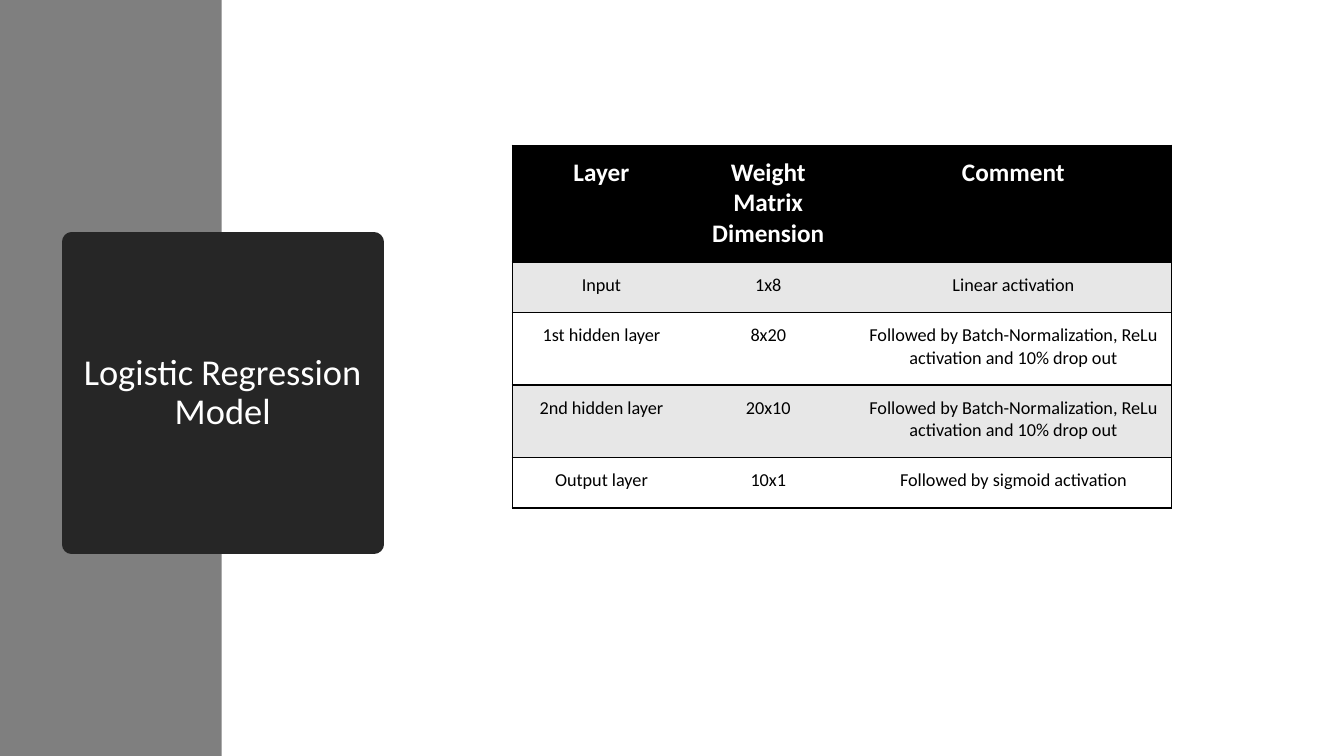
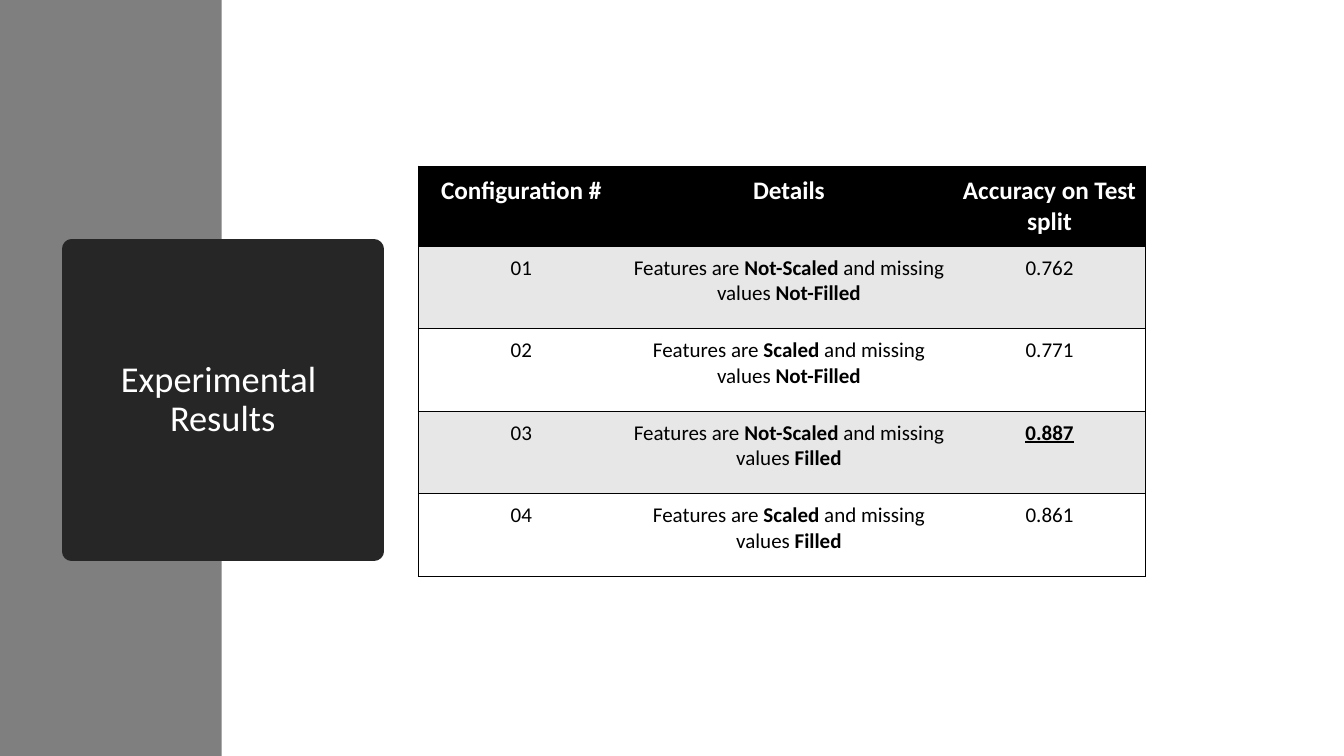
import pptx
import pptx.dml.color
import pptx.enum.shapes
import pptx.enum.text
import pptx.oxml
import pptx.oxml.ns
import pptx.util
from dataclasses import dataclass

Inches = pptx.util.Inches
Pt = pptx.util.Pt
RGB = pptx.dml.color.RGBColor.from_string
RECTANGLE = pptx.enum.shapes.MSO_SHAPE.RECTANGLE
CENTER = pptx.enum.text.PP_ALIGN.CENTER


@dataclass(frozen=True)
class Theme:
    font: str = "Calibri"
    band: str = "7F7F7F"
    title_box: str = "262626"
    dark: str = "000000"
    light: str = "FFFFFF"
    stripe: str = "E7E7E7"
    title_size: int = 26
    header_size: int = 18
    title_border: float = 13.75
    cell_border: int = 1


theme = Theme()


def style_paragraph(paragraph, size, color, bold=False):
    """Centre a paragraph and format its runs; text between ** marks is bold."""
    pieces = paragraph.text.split("**")
    if len(pieces) > 1:
        paragraph.clear()
        for piece in filter(None, pieces):
            paragraph.add_run().text = piece
    paragraph.alignment = CENTER
    for run in paragraph.runs:
        run.font.name = theme.font
        run.font.size = Pt(size)
        run.font.color.rgb = RGB(color)
        marked = len(pieces) > 1 and run.text in pieces[1::2]
        run.font.bold = bold or marked


def set_borders(cell, visible_sides):
    """Draw the given sides of a cell and hide the rest; call before filling."""
    properties = cell._tc.get_or_add_tcPr()
    for side in "LRTB":
        if side in visible_sides:
            paint = f'<a:solidFill><a:srgbClr val="{theme.dark}"/></a:solidFill>'
        else:
            paint = "<a:noFill/>"
        properties.append(pptx.oxml.parse_xml(
            f'<a:ln{side} {pptx.oxml.ns.nsdecls("a")} '
            f'w="{Pt(theme.cell_border)}">{paint}</a:ln{side}>'))


hidden_layer_comment = ("Followed by Batch-Normalization, ReLu "
                        "activation and 10% drop out")
topics = [
    dict(
        title="Logistic Regression Model", title_top=2.4,
        left=5.08, top=1.44,
        columns=[1.68, 1.63, 3.23], row_heights=[1.16, 0.5, 0.72, 0.72, 0.5],
        left_inset=0.21, inset=0.12, body_size=13, best=None,
        rows=[
            ["Layer", "Weight Matrix Dimension", "Comment"],
            ["Input", "1x8", "Linear activation"],
            ["1st hidden layer", "8x20", hidden_layer_comment],
            ["2nd hidden layer", "20x10", hidden_layer_comment],
            ["Output layer", "10x1", "Followed by sigmoid activation"],
        ],
    ),
    dict(
        title="Experimental \vResults", title_top=2.47,
        left=4.15, top=1.65,
        columns=[2.04, 3.27, 1.9], row_heights=[0.79] + [0.82] * 4,
        left_inset=0.09, inset=0.09, body_size=15, best=(3, 2),
        rows=[
            ["Configuration #", "Details", "Accuracy on Test split"],
            ["01", "Features are **Not-Scaled** and missing values **Not-Filled**", "0.762"],
            ["02", "Features are **Scaled** and missing values **Not-Filled**", "0.771"],
            ["03", "Features are **Not-Scaled** and missing values **Filled**", "**0.887**"],
            ["04", "Features are **Scaled** and missing values **Filled**", "0.861"],
        ],
    ),
]

deck = pptx.Presentation()
deck.slide_width = Inches(13.33)
deck.slide_height = Inches(7.5)

for topic in topics:
    slide = deck.slides.add_slide(deck.slide_layouts[6])

    band = slide.shapes.add_shape(RECTANGLE, 0, 0, Inches(2.2), deck.slide_height)
    band.shadow.inherit = False
    band.fill.solid()
    band.fill.fore_color.rgb = RGB(theme.band)
    band.line.fill.background()

    # The thick border with round joins gives the title box its soft corners.
    title = slide.shapes.add_shape(
        RECTANGLE, Inches(0.71), Inches(topic["title_top"]), Inches(3), Inches(3))
    title.shadow.inherit = False
    title.fill.solid()
    title.fill.fore_color.rgb = RGB(theme.title_box)
    title.line.color.rgb = RGB(theme.title_box)
    title.line.width = Pt(theme.title_border)
    title.line._get_or_add_ln().append(
        pptx.oxml.parse_xml(f'<a:round {pptx.oxml.ns.nsdecls("a")}/>'))
    title.text_frame.word_wrap = True
    title.text_frame.vertical_anchor = pptx.enum.text.MSO_ANCHOR.MIDDLE
    heading = title.text_frame.paragraphs[0]
    heading.text = topic["title"]
    heading.line_spacing = 0.9
    style_paragraph(heading, theme.title_size, theme.light)

    columns, row_heights = topic["columns"], topic["row_heights"]
    table = slide.shapes.add_table(
        len(row_heights), len(columns), Inches(topic["left"]), Inches(topic["top"]),
        Inches(sum(columns)), Inches(sum(row_heights))).table
    for column, width in zip(table.columns, columns):
        column.width = Inches(width)
    for row, height in zip(table.rows, row_heights):
        row.height = Inches(height)

    for r, texts in enumerate(topic["rows"]):
        is_header = r == 0
        background = theme.dark if is_header else theme.stripe if r % 2 else theme.light
        for c, text in enumerate(texts):
            cell = table.cell(r, c)
            outer_side = {0: "L", len(columns) - 1: "R"}.get(c, "")
            set_borders(cell, "TB" + outer_side)
            cell.fill.solid()
            cell.fill.fore_color.rgb = RGB(background)
            cell.margin_left = Inches(topic["left_inset"])
            cell.margin_right = Inches(topic["inset"])
            cell.margin_top = cell.margin_bottom = Inches(topic["inset"])
            cell.text_frame.text = text
            style_paragraph(
                cell.text_frame.paragraphs[0],
                theme.header_size if is_header else topic["body_size"],
                theme.light if is_header else theme.dark,
                bold=is_header)

    if topic["best"]:
        best_score = table.cell(*topic["best"]).text_frame.paragraphs[0]
        best_score.runs[0].font.underline = True

deck.save("out.pptx")
